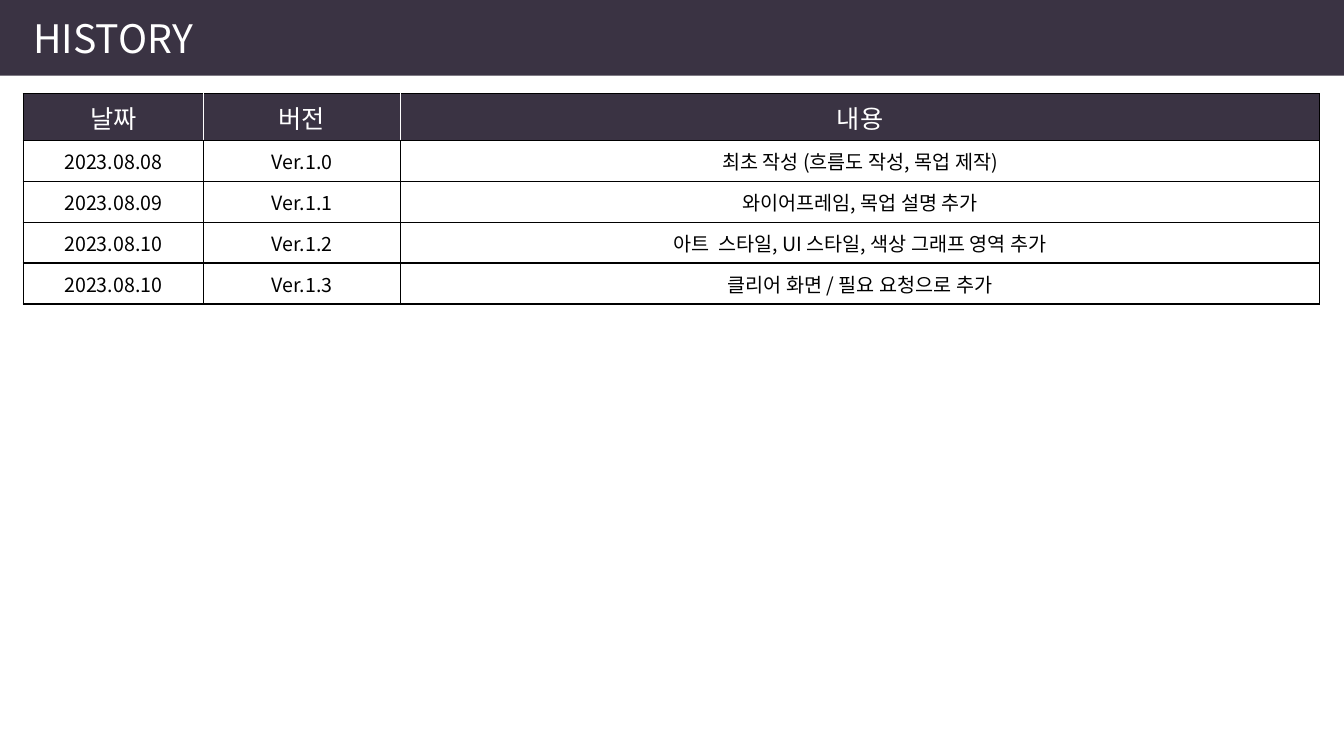
from dataclasses import dataclass

from lxml.etree import SubElement
from pptx import Presentation
from pptx.dml.color import RGBColor
from pptx.enum.shapes import MSO_SHAPE
from pptx.enum.text import MSO_ANCHOR, MSO_AUTO_SIZE, PP_ALIGN
from pptx.oxml.ns import qn
from pptx.util import Inches, Pt

HEADING = "HISTORY"
COLUMNS = [("날짜", 1.79), ("버전", 1.95), ("내용", 9.12)]
REVISIONS = [
    ("2023.08.08", "Ver.1.0", "최초 작성 (흐름도 작성, 목업 제작)"),
    ("2023.08.09", "Ver.1.1", "와이어프레임, 목업 설명 추가"),
    ("2023.08.10", "Ver.1.2", "아트  스타일, UI 스타일, 색상 그래프 영역 추가"),
    ("2023.08.10", "Ver.1.3", "클리어 화면 / 필요 요청으로 추가"),
]


@dataclass(frozen=True)
class Theme:
    font: str = "Noto Sans CJK KR"
    dark: str = "3A3343"
    light: str = "FFFFFF"
    ink: str = "000000"
    heading_size: int = 28
    header_size: int = 18
    body_size: int = 14
    border: int = 1


THEME = Theme()


def add_run(paragraph, text, size, color):
    run = paragraph.add_run()
    run.text = text
    run.font.size = Pt(size)
    run.font.color.rgb = RGBColor.from_string(color)
    run.font.name = THEME.font
    SubElement(run.font._element, qn("a:ea"), typeface=THEME.font)


def set_borders(cell, colors):
    properties = cell._tc.get_or_add_tcPr()
    for side, color in zip("LRTB", colors):
        line = SubElement(properties, qn(f"a:ln{side}"), w=str(Pt(THEME.border)))
        SubElement(SubElement(line, qn("a:solidFill")), qn("a:srgbClr"), val=color)


def add_heading(slide):
    band = slide.shapes.add_shape(
        MSO_SHAPE.RECTANGLE, 0, 0, Inches(13.33), Inches(0.75))
    band.shadow.inherit = False
    band.fill.solid()
    band.fill.fore_color.rgb = RGBColor.from_string(THEME.dark)
    band.line.fill.background()
    heading = slide.shapes.title
    heading._element.addprevious(band._element)
    heading.left, heading.top = Inches(0.23), Inches(0.09)
    heading.width, heading.height = Inches(2.1), Inches(0.57)
    frame = heading.text_frame
    frame.word_wrap = True
    frame.auto_size = MSO_AUTO_SIZE.NONE
    frame.vertical_anchor = MSO_ANCHOR.TOP
    frame.paragraphs[0].alignment = PP_ALIGN.LEFT
    add_run(frame.paragraphs[0], HEADING, THEME.heading_size, THEME.light)


def add_history(slide):
    rows = [[label for label, _ in COLUMNS], *REVISIONS]
    history = slide.shapes.add_table(
        len(rows), len(COLUMNS), Inches(0.23), Inches(0.93),
        Inches(sum(width for _, width in COLUMNS)), Inches(2.03)).table
    history.horz_banding = False
    for column, (_, width) in zip(history.columns, COLUMNS):
        column.width = Inches(width)
    last = len(COLUMNS) - 1
    for r, row in enumerate(rows):
        header = r == 0
        for c, text in enumerate(row):
            cell = history.cell(r, c)
            left = THEME.light if header and c > 0 else THEME.ink
            right = THEME.light if header and c < last else THEME.ink
            set_borders(cell, (left, right, THEME.ink, THEME.ink))
            if header:
                cell.fill.solid()
                cell.fill.fore_color.rgb = RGBColor.from_string(THEME.dark)
            else:
                cell.fill.background()
            cell.vertical_anchor = MSO_ANCHOR.MIDDLE
            paragraph = cell.text_frame.paragraphs[0]
            paragraph.alignment = PP_ALIGN.CENTER
            add_run(paragraph, text,
                    THEME.header_size if header else THEME.body_size,
                    THEME.light if header else THEME.ink)
            paragraph.runs[0].font.bold = False


def main():
    deck = Presentation()
    deck.slide_width, deck.slide_height = Inches(13.33), Inches(7.5)
    slide = deck.slides.add_slide(deck.slide_layouts[5])
    add_heading(slide)
    add_history(slide)
    deck.save("out.pptx")


if __name__ == "__main__":
    main()
